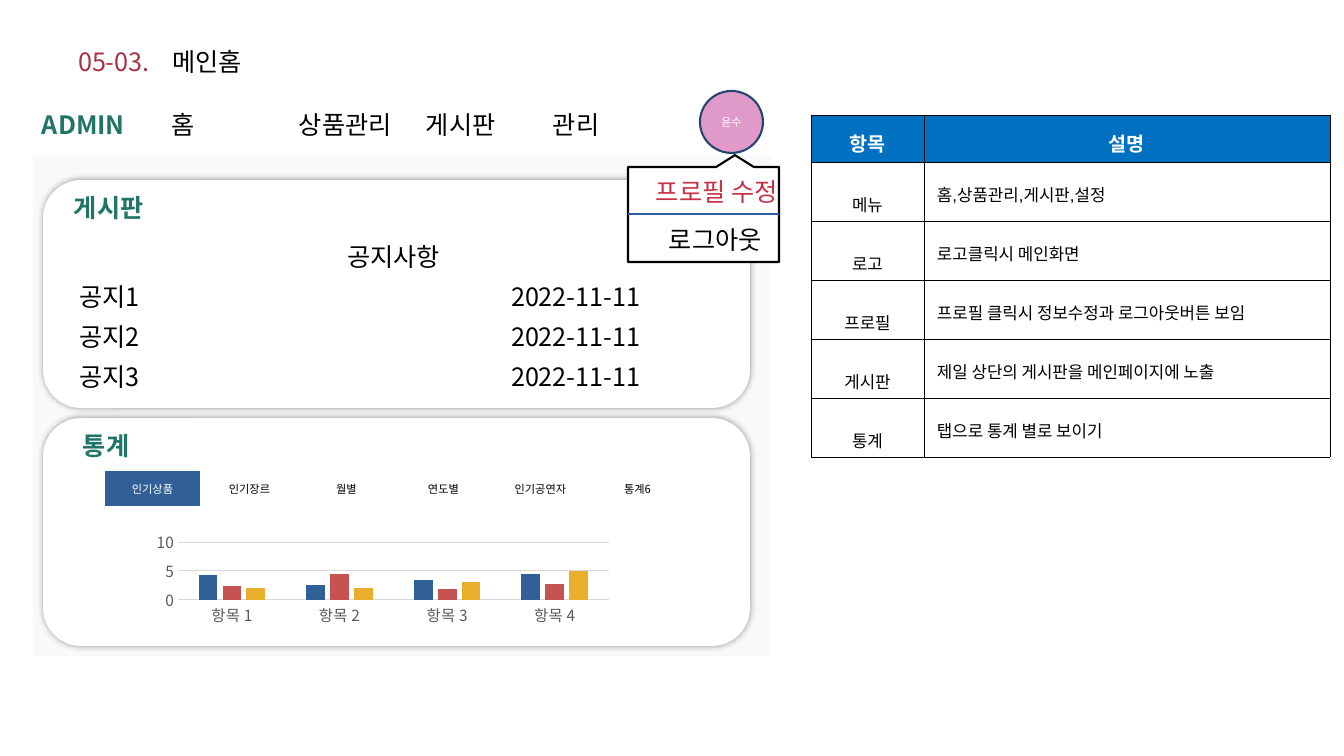
import pptx
import pptx.chart.data
import pptx.dml.color
import pptx.enum.chart
import pptx.enum.shapes
import pptx.enum.text
import pptx.oxml
import pptx.oxml.ns
import pptx.util
from lxml import etree

# Content
TITLE = ("05-03.", "메인홈")
DESCRIPTIONS = [
    ("항목", "설명"),
    ("메뉴", "홈,상품관리,게시판,설정"),
    ("로고", "로고클릭시 메인화면"),
    ("프로필", "프로필 클릭시 정보수정과 로그아웃버튼 보임"),
    ("게시판", "제일 상단의 게시판을 메인페이지에 노출"),
    ("통계", "탭으로 통계 별로 보이기"),
]
MENU = ["홈", "상품관리", "게시판", "관리"]
NOTICES = [
    ("공지사항", ""),
    ("공지1", "2022-11-11"),
    ("공지2", "2022-11-11"),
    ("공지3", "2022-11-11"),
]
TABS = ["인기상품", "인기장르", "월별", "연도별", "인기공연자", "통계6"]
CATEGORIES = ["항목 1", "항목 2", "항목 3", "항목 4"]
SERIES = [
    ("Series 1", (4.3, 2.5, 3.5, 4.5), "315F97"),
    ("Series 2", (2.4, 4.4, 1.8, 2.8), "C75252"),
    ("Series 3", (2, 2, 3, 5), "E9AE2B"),
]
KOREAN = "Noto Sans CJK KR"
GREEN, BLACK, WHITE, GREY = "207566", "000000", "FFFFFF", "595959"
NO_STYLE = "{2D5ABB26-0587-4C30-8999-92F81FD0307C}"
PRESET = pptx.enum.shapes.MSO_SHAPE
ALIGN = pptx.enum.text.PP_ALIGN
MIDDLE = pptx.enum.text.MSO_ANCHOR.MIDDLE


def px(length):
    return round(length * 914400 / 100.8)


def color(value):
    return pptx.dml.color.RGBColor.from_string(value)


def add_xml(parent, tag, **attributes):
    return etree.SubElement(parent, pptx.oxml.ns.qn(tag), attributes)


def style_font(font, size, fill, bold=False, latin=KOREAN):
    font.size = pptx.util.Pt(size)
    font.bold = bold
    font.name = latin
    font.color.rgb = color(fill)
    add_xml(font._rPr, "a:ea", typeface=KOREAN)


def write(frame, text, size, fill, bold=False, align=ALIGN.LEFT, spacing=None, latin=KOREAN):
    frame.text = text
    paragraph = frame.paragraphs[0]
    paragraph.alignment = align
    if spacing:
        paragraph.line_spacing = spacing
    for run in paragraph.runs:
        style_font(run.font, size, fill, bold, latin)


def add_label(text, left, top, width, fill=BLACK, bold=False):
    box = slide.shapes.add_textbox(px(left), px(top), px(width), px(40))
    box.text_frame.word_wrap = False
    write(box.text_frame, text, 18, fill, bold)


def add_block(preset, left, top, width, height, fill, line=None):
    shape = slide.shapes.add_shape(preset, px(left), px(top), px(width), px(height))
    shape.shadow.inherit = False
    shape.fill.solid()
    shape.fill.fore_color.rgb = color(fill)
    if line:
        shape.line.color.rgb = color(line)
        shape.line.width = pptx.util.Pt(1.5)
    else:
        shape.line.fill.background()
    return shape


def add_panel(heading, top, heading_left):
    panel = add_block(PRESET.ROUNDED_RECTANGLE, 43, top, 707, 228, WHITE)
    panel.adjustments[0] = 0.167
    effects = panel._element.spPr.find(pptx.oxml.ns.qn("a:effectLst"))
    shadow = add_xml(effects, "a:outerShdw", blurRad=str(pptx.util.Pt(5)), dist="0", dir="0")
    shade = add_xml(shadow, "a:srgbClr", val=BLACK)
    add_xml(shade, "a:alpha", val="40000")
    add_label(heading, heading_left, top + 7, 94, GREEN, True)


def add_grid(left, top, widths, heights):
    frame = slide.shapes.add_table(len(heights), len(widths), px(left), px(top),
                                   px(sum(widths)), px(sum(heights)))
    table = frame.table
    table.first_row = table.horz_banding = False
    table._tbl.tblPr.find(pptx.oxml.ns.qn("a:tableStyleId")).text = NO_STYLE
    for column, width in zip(table.columns, widths):
        column.width = px(width)
    for row, height in zip(table.rows, heights):
        row.height = px(height)
    return table


def paint_cell(cell, fill, border, widths):
    properties = cell._tc.get_or_add_tcPr()
    for side, width in zip("LRTB", widths):
        line = add_xml(properties, "a:ln" + side, w=str(pptx.util.Pt(width)))
        add_xml(add_xml(line, "a:solidFill"), "a:srgbClr", val=border)
    cell.fill.solid()
    cell.fill.fore_color.rgb = color(fill)
    cell.vertical_anchor = MIDDLE


presentation = pptx.Presentation()
presentation.slide_width, presentation.slide_height = px(1344), px(756)
slide = presentation.slides.add_slide(presentation.slide_layouts[5])

# Title
title = slide.shapes.title
title.left, title.top, title.width, title.height = px(68), px(30), px(1212), px(62)
title.text_frame.vertical_anchor = MIDDLE
paragraph = title.text_frame.paragraphs[0]
paragraph.alignment = ALIGN.LEFT
tabs = add_xml(paragraph._p.get_or_add_pPr(), "a:tabLst")
add_xml(tabs, "a:tab", pos=str(px(94)), algn="l")
for text, fill in zip((TITLE[0], "\t" + TITLE[1]), ("A63145", BLACK)):
    run = paragraph.add_run()
    run.text = text
    style_font(run.font, 18, fill)

# Description table
table = add_grid(811, 115, [113, 406], [47] + [59] * 5)
for row, texts in enumerate(DESCRIPTIONS):
    for column, text in enumerate(texts):
        cell = table.cell(row, column)
        paint_cell(cell, WHITE if row else "0070C0", BLACK, [0.25] * 4)
        cell.margin_left = cell.margin_right = px(13)
        if row == 0:
            write(cell.text_frame, text, 14, WHITE, True, ALIGN.CENTER, 1.3, "Arial")
        elif column == 0:
            write(cell.text_frame, text, 12, BLACK, False, ALIGN.CENTER, 2.0, "Arial")
        else:
            write(cell.text_frame, text, 12, BLACK, False, ALIGN.LEFT, 1.2, "Arial")

# Page area and menu bar
add_block(PRESET.RECTANGLE, 33, 93, 738, 563, "F8F9FA")
add_block(PRESET.RECTANGLE, 33, 93, 738, 63, WHITE)
add_label("ADMIN", 32, 104, 103, GREEN, True)
for index, text in enumerate(MENU):
    add_label(text, 162 + 127 * index, 104, 127)

# Notice board
add_panel("게시판", 180, 64)
table = add_grid(69, 234, [432, 217], [40] * 4)
table.cell(0, 0).merge(table.cell(0, 1))
for row, texts in enumerate(NOTICES):
    for column, text in enumerate(texts):
        cell = table.cell(row, column)
        cell.margin_top, cell.margin_bottom = px(3), 0
        write(cell.text_frame, text, 18, BLACK, align=ALIGN.LEFT if row else ALIGN.CENTER)

# Statistics chart
add_panel("통계", 418, 73)
data = pptx.chart.data.CategoryChartData()
data.categories = CATEGORIES
for name, values, fill in SERIES:
    data.add_series(name, values)
chart = slide.shapes.add_chart(pptx.enum.chart.XL_CHART_TYPE.COLUMN_CLUSTERED,
                               px(155), px(463), px(492), px(165), data).chart
chart.has_legend = chart.has_title = False
style_font(chart.font, 10, BLACK)
plot = chart.plots[0]
plot.gap_width, plot.overlap, plot.vary_by_categories = 219, -27, False
for series, (name, values, fill) in zip(plot.series, SERIES):
    series.format.fill.solid()
    series.format.fill.fore_color.rgb = color(fill)
value_axis, category_axis = chart.value_axis, chart.category_axis
value_axis.minimum_scale, value_axis.maximum_scale, value_axis.major_unit = 0, 10, 5
for axis in (value_axis, category_axis):
    axis.major_tick_mark = pptx.enum.chart.XL_TICK_MARK.NONE
    style_font(axis.tick_labels.font, 11, GREY)
value_axis.format.line.fill.background()
for line in (value_axis.major_gridlines.format.line, category_axis.format.line):
    line.color.rgb = color("D9D9D9")
    line.width = pptx.util.Pt(0.75)
plot_area = chart._chartSpace.chart.plotArea
for old in plot_area.findall(pptx.oxml.ns.qn("c:layout")):
    plot_area.remove(old)
layout = etree.Element(pptx.oxml.ns.qn("c:layout"))
plot_area.insert(0, layout)
manual = add_xml(layout, "c:manualLayout")
for tag, value in [("layoutTarget", "inner"), ("xMode", "edge"), ("yMode", "edge"),
                   ("x", "0.047"), ("y", "0.48"), ("w", "0.875"), ("h", "0.35")]:
    add_xml(manual, "c:" + tag, val=value)

# Statistics tabs
table = add_grid(104, 470, [97] * len(TABS), [38])
for column, text in enumerate(TABS):
    cell = table.cell(0, column)
    paint_cell(cell, WHITE if column else "315F97", WHITE, [1, 1, 1, 3])
    write(cell.text_frame, text, 8, BLACK if column else WHITE, align=ALIGN.CENTER)

# Profile and its menu
profile = add_block(PRESET.OVAL, 700, 91, 63, 62, "DF9ACA", "244670")
profile.text_frame.vertical_anchor = MIDDLE
write(profile.text_frame, "윤수", 8, WHITE, align=ALIGN.CENTER)
callout = add_block(PRESET.RECTANGULAR_CALLOUT, 628, 167, 151, 95, WHITE, BLACK)
callout.rotation = 180
callout.adjustments[0], callout.adjustments[1] = -0.208, 0.625
divider = slide.shapes.add_connector(pptx.enum.shapes.MSO_CONNECTOR.STRAIGHT,
                                     px(628), px(214), px(779), px(214))
divider.line.color.rgb = color("2E5F9A")
divider.line.width = pptx.util.Pt(1)
add_xml(divider._element.spPr, "a:effectLst")
add_label("로그아웃", 659, 219, 119)
add_label("프로필 수정", 646, 171, 151, "C53145")

presentation.save("out.pptx")
